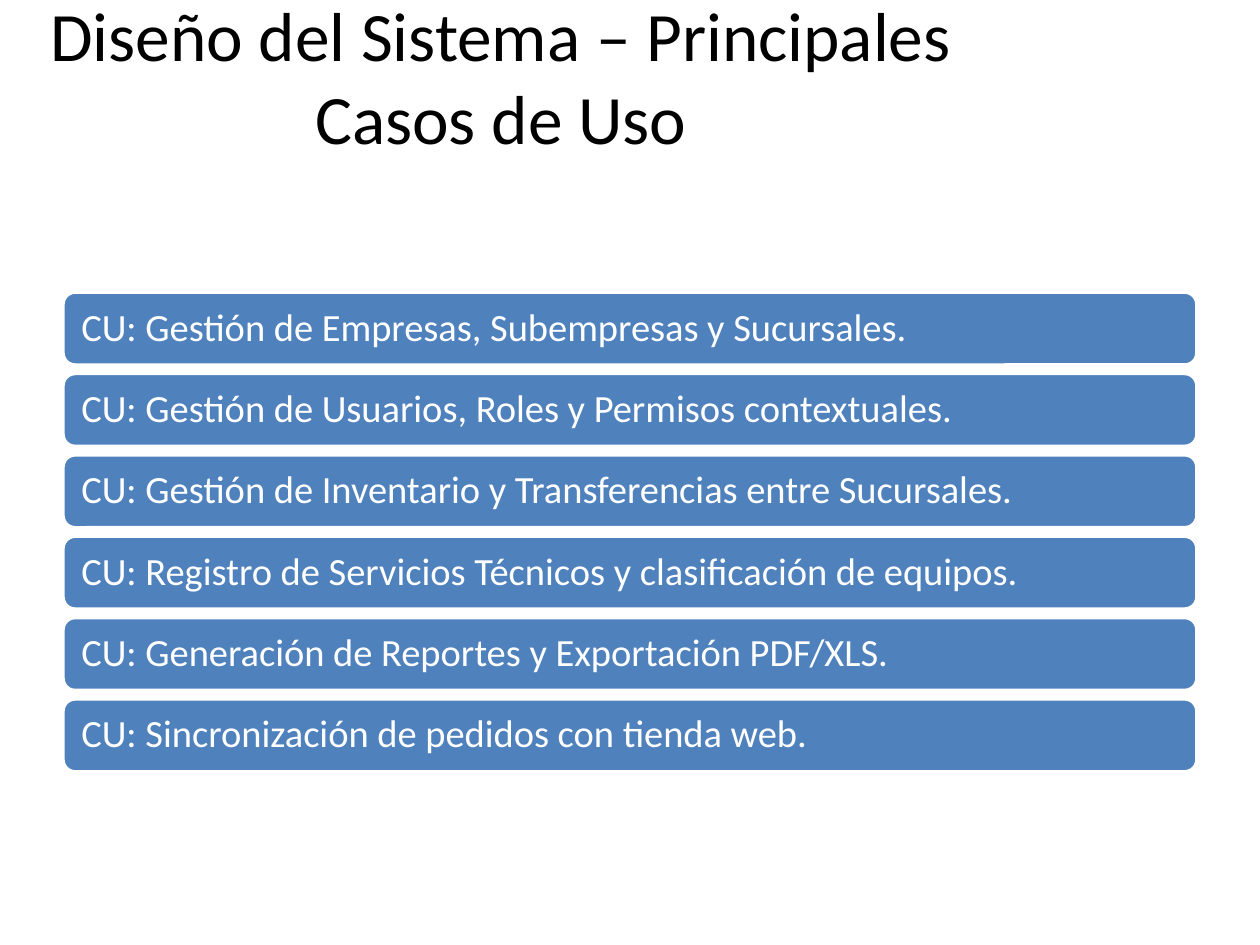
from dataclasses import dataclass

from pptx import Presentation
from pptx.dml.color import RGBColor
from pptx.enum.shapes import MSO_SHAPE as Shape
from pptx.enum.text import MSO_ANCHOR as Anchor, MSO_AUTO_SIZE as AutoSize, PP_ALIGN as Align
from pptx.util import Cm, Pt

TITLE = "Diseño del Sistema – Principales Casos de Uso"
USE_CASES = [
    "Gestión de Empresas, Subempresas y Sucursales.",
    "Gestión de Usuarios, Roles y Permisos contextuales.",
    "Gestión de Inventario y Transferencias entre Sucursales.",
    "Registro de Servicios Técnicos y clasificación de equipos.",
    "Generación de Reportes y Exportación PDF/XLS.",
    "Sincronización de pedidos con tienda web.",
]


@dataclass(frozen=True)
class Theme:
    font: str = "Calibri"
    title_size: float = 39.6
    case_size: float = 22
    ink: RGBColor = RGBColor(0, 0, 0)
    paper: RGBColor = RGBColor(255, 255, 255)
    bar: RGBColor = RGBColor(0x4F, 0x81, 0xBD)


THEME = Theme()
BAR_LEFT, BAR_TOP, BAR_WIDTH, BAR_HEIGHT = 1.27, 5.89, 22.86, 1.47
BAR_PITCH = 1.64


def write(shape, text, size, color, align):
    frame = shape.text_frame
    frame.text = text
    frame.word_wrap = True
    frame.auto_size = AutoSize.NONE
    frame.vertical_anchor = Anchor.MIDDLE
    para = frame.paragraphs[0]
    para.alignment = align
    font = para.runs[0].font
    font.name, font.size, font.color.rgb = THEME.font, Pt(size), color
    return para


def add_title(page):
    title = page.shapes.title
    title.left, title.top, title.width, title.height = Cm(0), Cm(0.15), Cm(20.19), Cm(2.72)
    write(title, TITLE, THEME.title_size, THEME.ink, Align.CENTER)


def add_use_case(page, index, name):
    bar = page.shapes.add_shape(
        Shape.ROUNDED_RECTANGLE,
        Cm(BAR_LEFT), Cm(BAR_TOP + index * BAR_PITCH), Cm(BAR_WIDTH), Cm(BAR_HEIGHT),
    )
    bar.shadow.inherit = False
    bar.fill.solid()
    bar.fill.fore_color.rgb = THEME.bar
    bar.line.color.rgb = THEME.paper
    bar.line.width = Pt(2)
    para = write(bar, f"CU: {name}", THEME.case_size, THEME.paper, Align.LEFT)
    para.line_spacing = 0.9
    frame = bar.text_frame
    frame.margin_left = frame.margin_right = Cm(0.3)


def main():
    deck = Presentation()
    deck.slide_width, deck.slide_height = Cm(25.4), Cm(19.05)
    page = deck.slides.add_slide(deck.slide_layouts.get_by_name("Title Only"))
    add_title(page)
    for index, name in enumerate(USE_CASES):
        add_use_case(page, index, name)
    deck.save("out.pptx")


if __name__ == "__main__":
    main()
